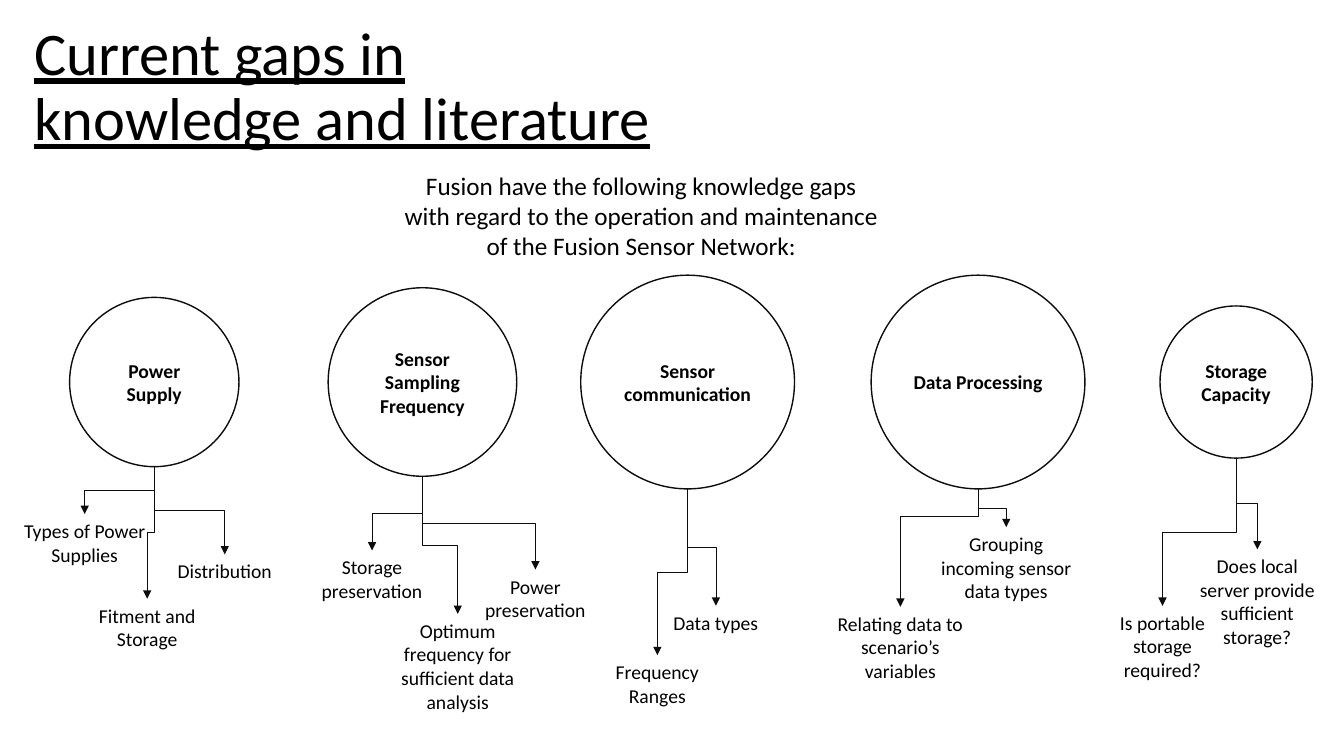
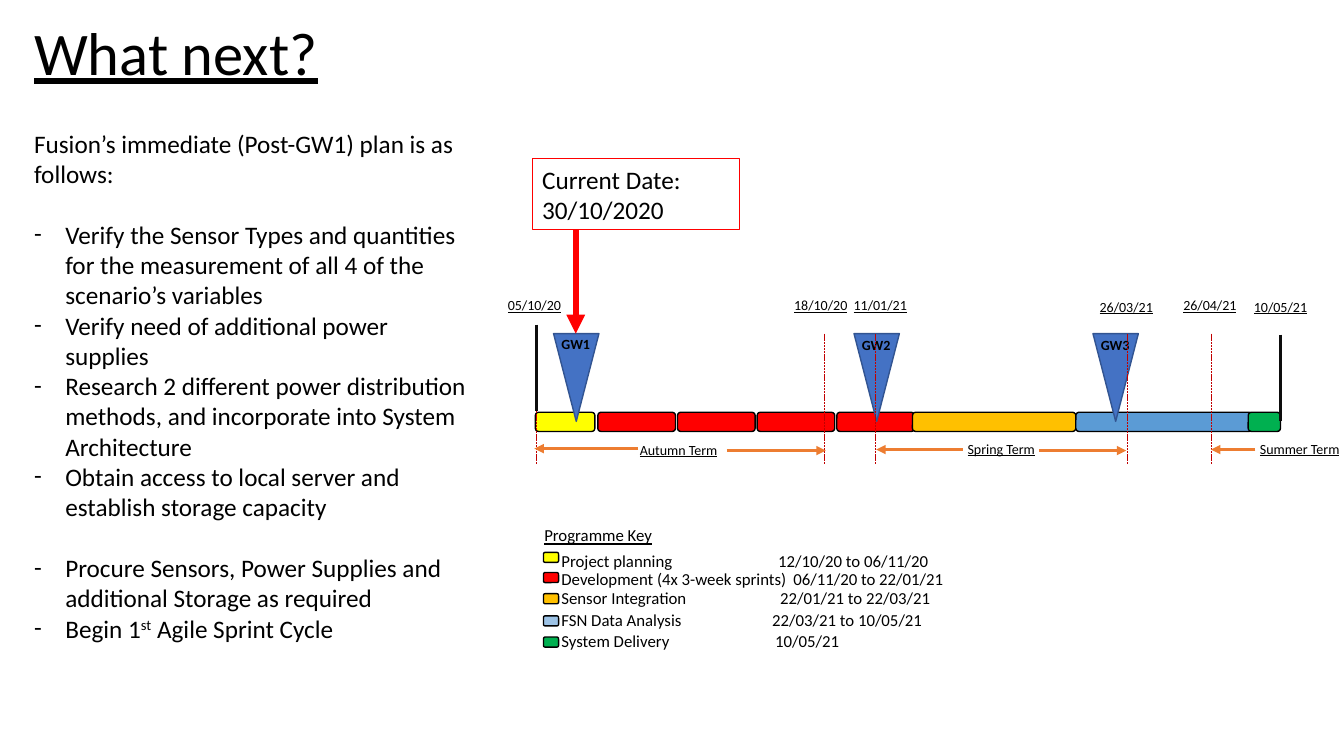
from typing import NamedTuple

from lxml.etree import SubElement
from pptx import Presentation
from pptx.dml.color import RGBColor
from pptx.enum.dml import MSO_LINE
from pptx.enum.shapes import MSO_CONNECTOR, MSO_SHAPE
from pptx.enum.text import MSO_ANCHOR, PP_ALIGN
from pptx.oxml.ns import qn
from pptx.util import Inches, Pt

# The slide is a grid of square cells; every length below counts cells.
CELL = Inches(1)
COLUMNS, ROWS = 13.33, 7.5

BLACK = RGBColor(0x00, 0x00, 0x00)
INK = RGBColor(0x0D, 0x0D, 0x0D)
RED = RGBColor(0xFF, 0x00, 0x00)
DARK_RED = RGBColor(0xC0, 0x00, 0x00)
YELLOW = RGBColor(0xFF, 0xFF, 0x00)
GOLD = RGBColor(0xFF, 0xC0, 0x00)
GREEN = RGBColor(0x00, 0xB0, 0x50)
BLUE = RGBColor(0x5B, 0x9B, 0xD5)
PALE_BLUE = RGBColor(0x9D, 0xC3, 0xE6)
GATEWAY_BLUE = RGBColor(0x44, 0x72, 0xC4)
GATEWAY_EDGE = RGBColor(0x32, 0x54, 0x91)
ORANGE = RGBColor(0xED, 0x7D, 0x31)

BASE = {"name": "Calibri", "size": Pt(18)}
TITLE = BASE | {"size": Pt(43.2), "underline": True}
DETAIL = BASE | {"size": Pt(14)}
TOPIC = DETAIL | {"bold": True}
KEY = BASE | {"size": Pt(12)}
KEY_TITLE = KEY | {"underline": True}
TIMELINE_LABEL = BASE | {"size": Pt(10), "underline": True}
GATEWAY_LABEL = BASE | {"size": Pt(10), "bold": True}


class Box(NamedTuple):
    left: float
    top: float
    width: float
    height: float


class Detail(NamedTuple):
    text: str
    center: float
    top: float
    bend: float = 0.5


class Gap(NamedTuple):
    topic: str
    center: float
    diameter: float
    details: list[Detail]


class Phase(NamedTuple):
    left: float
    width: float
    color: RGBColor


class Label(NamedTuple):
    text: str
    center: float
    middle: float


class KeyRow(NamedTuple):
    text: str
    dates: str
    color: RGBColor
    swatch_top: float
    text_top: float
    tab: float


GAPS = [
    Gap("Power Supply", 1.53, 1.68, [
        Detail("Types of Power Supplies", 0.84, 5.1),
        Detail("Distribution", 2.23, 5.5),
        Detail("Fitment and Storage", 1.46, 5.94)]),
    Gap("Sensor Sampling Frequency", 4.19, 1.87, [
        Detail("Storage preservation", 3.69, 5.46),
        Detail("Power preservation", 5.31, 5.65),
        Detail("Optimum frequency for sufficient data analysis", 4.54, 6.09)]),
    Gap("Sensor communication", 6.82, 2.12, [
        Detail("Data types", 7.1, 6.01),
        Detail("Frequency Ranges", 6.52, 6.5)]),
    Gap("Data Processing", 9.7, 2.12, [
        Detail("Grouping incoming sensor data types", 9.98, 5.23),
        Detail("Relating data to scenario’s variables", 8.93, 6.02, 0.23)]),
    Gap("Storage Capacity", 12.26, 1.51, [
        Detail("Does local server provide sufficient storage?", 12.47, 5.45),
        Detail("Is portable storage required?", 11.53, 6.01)]),
]
GAP_MIDDLE = 3.79
DETAIL_WIDTH = 1.54

PLAN_INTRO = "Fusion’s immediate (Post-GW1) plan is as follows:"
PLAN = [
    "Verify the Sensor Types and quantities for the measurement of all 4 of the scenario’s variables",
    "Verify need of additional power supplies",
    "Research 2 different power distribution methods, and incorporate into System Architecture",
    "Obtain access to local server and establish storage capacity",
    "Procure Sensors, Power Supplies and additional Storage as required",
    "Begin 1^st^ Agile Sprint Cycle",
]
PLAN_GROUP_STARTS = (0, 4)

PHASES = [
    Phase(5.31, 0.59, YELLOW),
    *(Phase(5.93 + 0.79 * sprint, 0.77, RED) for sprint in range(4)),
    Phase(9.05, 1.62, GOLD),
    Phase(10.67, 1.75, BLUE),
    Phase(12.38, 0.32, GREEN),
]
GATEWAYS = [Label("GW1", 5.71, 3.41), Label("GW2", 8.69, 3.42), Label("GW3", 11.06, 3.42)]
TERM_EDGES = [5.32, 8.18, 8.68, 11.18, 12.01]
PROJECT_EDGES = [(5.32, 3.22), (12.7, 3.32)]
TIMELINE_LABELS = [
    Label("05/10/20", 5.3, 3.03), Label("18/10/20", 8.14, 3.03),
    Label("11/01/21", 8.73, 3.03), Label("26/03/21", 11.17, 3.04),
    Label("26/04/21", 12, 3.03), Label("10/05/21", 12.7, 3.04),
    Label("Autumn Term", 6.73, 4.46), Label("Spring Term", 9.93, 4.45),
    Label("Summer Term", 12.89, 4.45),
]
TERM_ARROWS = [(6.33, 5.3, 4.45), (7.21, 8.19, 4.47), (9.55, 8.69, 4.46),
               (10.31, 11.17, 4.47), (12.45, 12.01, 4.46)]
KEY_ROWS = [
    KeyRow("Project planning", "12/10/20 to 06/11/20", YELLOW, 5.48, 5.41, 2.15),
    KeyRow("Development (4x 3-week sprints)", "06/11/20 to 22/01/21", RED, 5.68, 5.59, 2.3),
    KeyRow("Sensor Integration", "22/01/21 to 22/03/21", GOLD, 5.89, 5.78, 2.17),
    KeyRow("FSN Data Analysis", "22/03/21 to 10/05/21", PALE_BLUE, 6.11, 6, 2.09),
    KeyRow("System Delivery", "10/05/21", GREEN, 6.32, 6.21, 2.12),
]


def cells(*counts: float) -> list[int]:
    return [round(count * CELL) for count in counts]


def write(paragraph, text: str, style: dict, align=PP_ALIGN.LEFT) -> None:
    """Write text in a style; parts between ^ marks are superscript."""
    paragraph.alignment = align
    for index, part in enumerate(text.split("^")):
        run = paragraph.add_run()
        run.text = part
        for name, value in style.items():
            setattr(run.font, name, value)
        run.font.color.rgb = BLACK
        if index % 2:
            run._r.get_or_add_rPr().set("baseline", "30000")


def add_text(slide, box: Box, text: str, style: dict, align=PP_ALIGN.LEFT):
    frame = slide.shapes.add_textbox(*cells(*box)).text_frame
    frame.word_wrap = True
    write(frame.paragraphs[0], text, style, align)
    return frame


def add_label(slide, label: Label, style: dict) -> None:
    """Centre one unwrapped line of text on a point."""
    width, height = 0.88, 0.2
    box = Box(label.center - width / 2, label.middle - height / 2, width, height)
    frame = add_text(slide, box, label.text, style, PP_ALIGN.CENTER)
    frame.word_wrap = False
    frame.vertical_anchor = MSO_ANCHOR.MIDDLE
    for side in ("left", "right", "top", "bottom"):
        setattr(frame, f"margin_{side}", 0)


def add_shape(slide, kind, box: Box, fill=None, line=BLACK, weight: float = 1):
    shape = slide.shapes.add_shape(kind, *cells(*box))
    shape.shadow.inherit = False
    if fill is None:
        shape.fill.background()
    else:
        shape.fill.solid()
        shape.fill.fore_color.rgb = fill
    shape.line.color.rgb = line
    shape.line.width = Pt(weight)
    return shape


def add_line(slide, start, end, color, weight: float, arrow=False, kind=MSO_CONNECTOR.STRAIGHT):
    connector = slide.shapes.add_connector(kind, *cells(*start, *end))
    connector.line.color.rgb = color
    connector.line.width = Pt(weight)
    if arrow:
        SubElement(connector.line._get_or_add_ln(), qn("a:tailEnd"), type="triangle")
    SubElement(connector._element.spPr, qn("a:effectLst"))
    return connector


def add_drop_arrow(slide, start, end, bend: float) -> None:
    """Draw an elbow that goes down, across at the bend, and down again."""
    (start_x, start_y), (end_x, end_y) = start, end
    middle_x, middle_y = (start_x + end_x) / 2, (start_y + end_y) / 2
    half_drop, half_shift = (end_y - start_y) / 2, abs(end_x - start_x) / 2
    connector = add_line(
        slide, (middle_x - half_drop, middle_y - half_shift),
        (middle_x + half_drop, middle_y + half_shift), INK, 0.5, True, MSO_CONNECTOR.ELBOW)
    properties = connector._element.spPr
    turn = {"rot": "5400000"} if end_x < start_x else {"rot": "16200000", "flipH": "1"}
    for name, value in turn.items():
        properties.find(qn("a:xfrm")).set(name, value)
    adjustments = properties.find(qn("a:prstGeom")).find(qn("a:avLst"))
    SubElement(adjustments, qn("a:gd"), name="adj1", fmla=f"val {round(bend * 100000)}")


def add_titled_slide(presentation, title: str):
    slide = presentation.slides.add_slide(presentation.slide_layouts[6])
    frame = add_text(slide, Box(0.24, 0.18, 6.43, 1.5), title, TITLE)
    frame.paragraphs[0].line_spacing = 0.9
    return slide


def add_gap(slide, gap: Gap) -> None:
    radius = gap.diameter / 2
    circle = add_shape(slide, MSO_SHAPE.OVAL, Box(
        gap.center - radius, GAP_MIDDLE - radius, gap.diameter, gap.diameter), line=INK)
    circle.text_frame.vertical_anchor = MSO_ANCHOR.MIDDLE
    write(circle.text_frame.paragraphs[0], gap.topic, TOPIC, PP_ALIGN.CENTER)
    for detail in gap.details:
        add_text(slide, Box(detail.center - DETAIL_WIDTH / 2, detail.top, DETAIL_WIDTH, 0.57),
                 detail.text, DETAIL, PP_ALIGN.CENTER)
        add_drop_arrow(slide, (gap.center, GAP_MIDDLE + radius),
                       (detail.center, detail.top), detail.bend)


def add_plan(slide) -> None:
    frame = add_text(slide, Box(0.24, 1.22, 4.54, 5.55), PLAN_INTRO, BASE)
    indent = round(0.31 * CELL)
    for index, step in enumerate(PLAN):
        paragraph = frame.add_paragraph()
        write(paragraph, step, BASE)
        if index in PLAN_GROUP_STARTS:
            paragraph.space_before = Pt(22)
        properties = paragraph._p.get_or_add_pPr()
        properties.set("marL", str(indent))
        properties.set("indent", str(-indent))
        SubElement(properties, qn("a:buFont"), typeface="Calibri")
        SubElement(properties, qn("a:buChar"), char="-")


def add_timeline(slide) -> None:
    for phase in PHASES:
        add_shape(slide, MSO_SHAPE.ROUNDED_RECTANGLE,
                  Box(phase.left, 4.09, phase.width, 0.19), phase.color)
    for gateway in GATEWAYS:
        marker = add_shape(slide, MSO_SHAPE.ISOSCELES_TRIANGLE,
                           Box(gateway.center - 0.22, 3.31, 0.45, 0.87),
                           GATEWAY_BLUE, GATEWAY_EDGE)
        marker.rotation = 180
        add_label(slide, gateway, GATEWAY_LABEL)
    for x in TERM_EDGES:
        edge = add_line(slide, (x, 3.31), (x, 4.61), DARK_RED, 0.5)
        edge.line.dash_style = MSO_LINE.SQUARE_DOT
    for x, top in PROJECT_EDGES:
        add_line(slide, (x, top), (x, top + 0.86), INK, 2.25)
    for label in TIMELINE_LABELS:
        add_label(slide, label, TIMELINE_LABEL)
    for start, end, y in TERM_ARROWS:
        add_line(slide, (start, y), (end, y), ORANGE, 2.25, arrow=True)


def add_key(slide) -> None:
    add_text(slide, Box(5.3, 5.16, 2.37, 0.32), "Programme Key", KEY_TITLE)
    for row in KEY_ROWS:
        add_shape(slide, MSO_SHAPE.ROUNDED_RECTANGLE,
                  Box(5.39, row.swatch_top, 0.15, 0.1), row.color)
        frame = add_text(slide, Box(5.47, row.text_top, 4.34, 0.31),
                         f"{row.text}\t{row.dates}", KEY)
        tabs = SubElement(frame.paragraphs[0]._p.get_or_add_pPr(), qn("a:tabLst"))
        SubElement(tabs, qn("a:tab"), pos=str(round(row.tab * CELL)), algn="l")


def add_current_date(slide) -> None:
    add_line(slide, (5.71, 2.28), (5.71, 3.31), RED, 4.5, arrow=True)
    callout = add_shape(slide, MSO_SHAPE.RECTANGLE, Box(5.28, 1.57, 2.06, 0.71),
                        line=RED, weight=0.75)
    frame = callout.text_frame
    write(frame.paragraphs[0], "Current Date:", BASE)
    write(frame.add_paragraph(), "30/10/2020", BASE)


def main() -> None:
    presentation = Presentation()
    presentation.slide_width, presentation.slide_height = cells(COLUMNS, ROWS)

    gaps_slide = add_titled_slide(presentation, "Current gaps in knowledge and literature")
    add_text(gaps_slide, Box(3.89, 1.64, 4.94, 1.01),
             "Fusion have the following knowledge gaps with regard to the operation and "
             "maintenance of the Fusion Sensor Network:", BASE, PP_ALIGN.CENTER)
    for gap in GAPS:
        add_gap(gaps_slide, gap)

    plan_slide = add_titled_slide(presentation, "What next?")
    add_plan(plan_slide)
    add_timeline(plan_slide)
    add_key(plan_slide)
    add_current_date(plan_slide)

    presentation.save("out.pptx")


if __name__ == "__main__":
    main()
